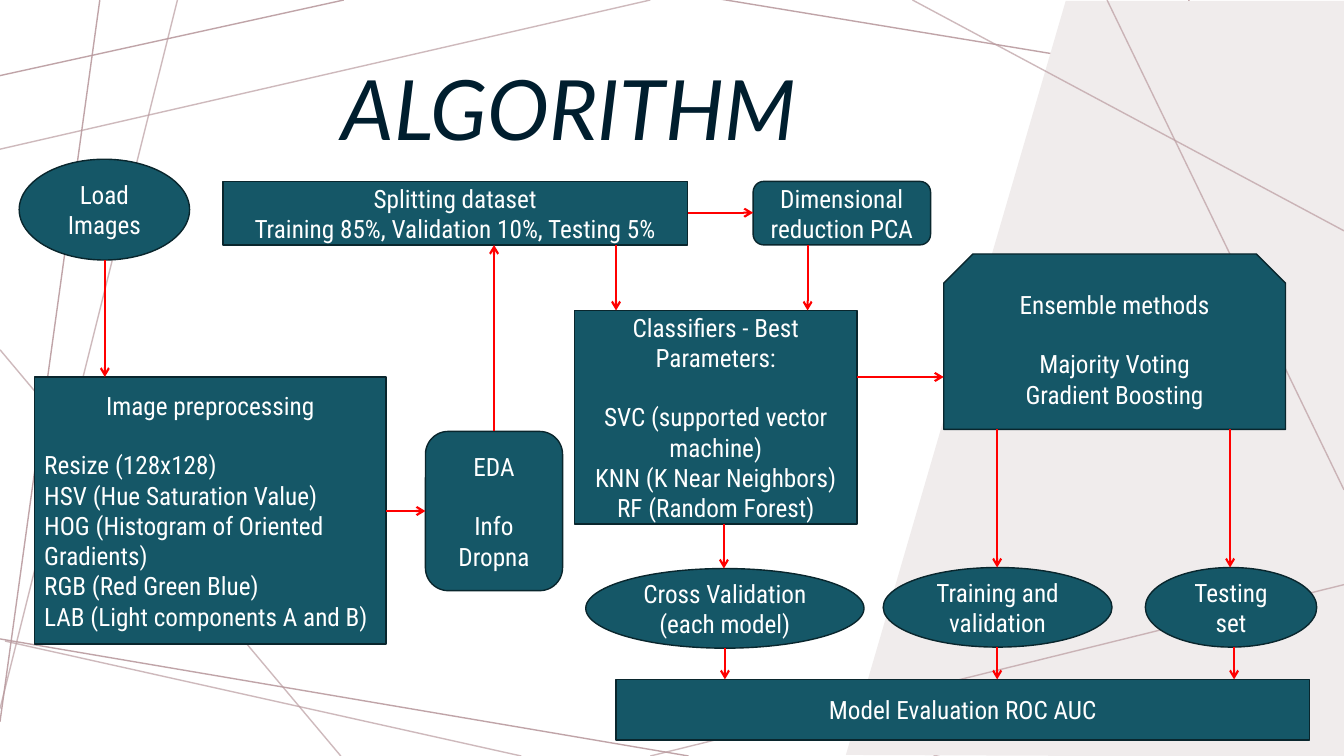
from collections import namedtuple

from lxml.etree import SubElement
from pptx import Presentation
from pptx.dml.color import RGBColor
from pptx.enum.shapes import MSO_CONNECTOR, MSO_SHAPE
from pptx.enum.text import MSO_ANCHOR, PP_ALIGN
from pptx.oxml.ns import qn
from pptx.util import Inches, Pt

Box = namedtuple("Box", "left top width height")
Node = namedtuple("Node", "shape box lines gap body_align", defaults=(0, PP_ALIGN.CENTER))

COLORS = {
    "page": "FFFFFF",
    "panel": "F0ECEC",
    "thread": "BA9CA0",
    "title": "001E2E",
    "node": "155767",
    "outline": "09262D",
    "node_text": "FFFFFF",
    "arrow": "FF0000",
}
LINE_GAP = 21

# Threads behind the panel are denser than those in front of it.
BACK_THREADS = [
    (3.41, 0, 0, 0.75), (0.99, 0, 0, 7.16), (6.83, 7.5, -0.05, 6.33),
    (13.33, 6.4, 9.26, 7.5), (13.33, 1.8, 12.62, 7.5),
    (13.33, 4.66, 11.79, 0), (13.33, 1.01, 7.14, -0.01),
]
FRONT_THREADS = [
    (6.45, 0, 0, 1.48), (1.76, 0, 0, 7.03), (3.38, 7.5, 0, 3.47),
    (13.33, 4.86, 10.98, 0), (13.33, 2.29, 9.05, 0),
    (5.17, 7.5, 0.05, 6.36), (13.33, 5.8, 6.45, 7.5),
]
PANEL = [(10.57, 0.01), (13.33, 0.01), (13.33, 7.51), (8.39, 7.49)]

NODES = {
    "load": Node(MSO_SHAPE.OVAL, Box(0.19, 1.58, 1.69, 1), ["Load Images"]),
    "preprocess": Node(
        MSO_SHAPE.RECTANGLE, Box(0.34, 3.74, 3.49, 2.65),
        ["Image preprocessing", "Resize (128x128)", "HSV (Hue Saturation Value)",
         "HOG (Histogram of Oriented Gradients)", "RGB (Red Green Blue)",
         "LAB (Light components A and B)"],
        LINE_GAP, PP_ALIGN.LEFT),
    "explore": Node(MSO_SHAPE.ROUNDED_RECTANGLE, Box(4.22, 4.28, 1.36, 1.58),
                    ["EDA", "Info", "Dropna"], LINE_GAP),
    "split": Node(MSO_SHAPE.RECTANGLE, Box(2.21, 1.8, 4.61, 0.63),
                  ["Splitting dataset", "Training 85%, Validation 10%, Testing 5%"]),
    "reduce": Node(MSO_SHAPE.ROUNDED_RECTANGLE, Box(7.47, 1.8, 1.76, 0.63),
                   ["Dimensional reduction PCA"]),
    "classify": Node(
        MSO_SHAPE.RECTANGLE, Box(5.7, 3.08, 2.8, 2.12),
        ["Classifiers - Best Parameters:", "SVC (supported vector machine)",
         "KNN (K Near Neighbors)", "RF (Random Forest)"], LINE_GAP),
    "evaluate": Node(MSO_SHAPE.RECTANGLE, Box(6.11, 6.74, 6.88, 0.6),
                     ["Model Evaluation ROC AUC"]),
    "ensemble": Node(MSO_SHAPE.SNIP_2_SAME_RECTANGLE, Box(9.36, 2.52, 3.39, 1.74),
                     ["Ensemble methods", "Majority Voting", "Gradient Boosting"], LINE_GAP),
    "cross": Node(MSO_SHAPE.OVAL, Box(5.81, 5.64, 2.76, 0.79),
                  ["Cross Validation (each model)"]),
    "train": Node(MSO_SHAPE.OVAL, Box(8.76, 5.63, 2.27, 0.79), ["Training and validation"]),
    "test": Node(MSO_SHAPE.OVAL, Box(11.36, 5.63, 1.7, 0.79), ["Testing set"]),
}

# Source, target, direction, and the fixed x (vertical) or y (horizontal).
ARROWS = [
    ("load", "preprocess", "down", 1.04),
    ("preprocess", "explore", "right", 5.07),
    ("explore", "split", "up", 4.9),
    ("split", "reduce", "right", 2.11),
    ("split", "classify", "down", 6.11),
    ("reduce", "classify", "down", 8.01),
    ("classify", "cross", "down", 7.18),
    ("classify", "ensemble", "right", 3.74),
    ("ensemble", "train", "down", 9.89),
    ("ensemble", "test", "down", 12.2),
    ("cross", "evaluate", "down", 7.19),
    ("train", "evaluate", "down", 9.89),
    ("test", "evaluate", "down", 12.24),
]


def rgb(name):
    return RGBColor.from_string(COLORS[name])


def add_text(frame, text, *, size, font, color, first=False, italic=False,
             align=PP_ALIGN.LEFT, space_before=0, line_spacing=1.0):
    para = frame.paragraphs[0] if first else frame.add_paragraph()
    para.alignment = align
    para.space_before = Pt(space_before)
    para.line_spacing = line_spacing
    span = para.add_run()
    span.text = text
    span.font.size = Pt(size)
    span.font.name = font
    span.font.italic = italic
    span.font.color.rgb = rgb(color)


def add_line(slide, box, ends, *, color, width, opacity=100, arrow=False):
    x1, y1, x2, y2 = ends
    line = slide.shapes.add_connector(
        MSO_CONNECTOR.STRAIGHT, Inches(box.left + x1), Inches(box.top + y1),
        Inches(box.left + x2), Inches(box.top + y2))
    line.line.width = Pt(width)
    line.line.color.rgb = rgb(color)
    properties = line.line._get_or_add_ln()
    if opacity < 100:
        SubElement(properties.find(".//" + qn("a:srgbClr")), qn("a:alpha"),
                   val=str(opacity * 1000))
    if arrow:
        SubElement(properties, qn("a:tailEnd"), type="arrow")
    SubElement(line._element.spPr, qn("a:effectLst"))


def draw_backdrop(slide, box):
    for ends in BACK_THREADS:
        add_line(slide, box, ends, color="thread", width=1, opacity=91)
    corners = [(Inches(box.left + x), Inches(box.top + y)) for x, y in PANEL]
    builder = slide.shapes.build_freeform(*corners[0])
    builder.add_line_segments(corners[1:], close=True)
    panel = builder.convert_to_shape()
    panel.shadow.inherit = False
    panel.fill.solid()
    panel.fill.fore_color.rgb = rgb("panel")
    panel.line.fill.background()
    for ends in FRONT_THREADS:
        add_line(slide, box, ends, color="thread", width=1, opacity=70)


def draw_title(slide, box):
    frame = slide.shapes.add_textbox(*map(Inches, box)).text_frame
    frame.word_wrap = True
    add_text(frame, "ALGORITHM", size=59.4, font="Lato", color="title",
             first=True, italic=True, line_spacing=0.9)


def draw_node(slide, box, node):
    """Draw one step; its gap separates the heading from the body lines."""
    left, top, width, height = node.box
    shape = slide.shapes.add_shape(
        node.shape, Inches(box.left + left), Inches(box.top + top),
        Inches(width), Inches(height))
    shape.shadow.inherit = False
    shape.fill.solid()
    shape.fill.fore_color.rgb = rgb("node")
    shape.line.color.rgb = rgb("outline")
    shape.line.width = Pt(1)
    frame = shape.text_frame
    frame.word_wrap = True
    frame.vertical_anchor = MSO_ANCHOR.MIDDLE
    for index, text in enumerate(node.lines):
        add_text(frame, text, size=18, font="Roboto Condensed", color="node_text",
                 first=index == 0,
                 align=node.body_align if index else PP_ALIGN.CENTER,
                 space_before=node.gap if index == 1 else 0)


def arrow_ends(source, target, direction, position):
    """Return the ends of an arrow between the facing edges of two boxes."""
    if direction == "right":
        return source.left + source.width, position, target.left, position
    if direction == "up":
        return position, source.top, position, target.top + target.height
    return position, source.top + source.height, position, target.top


def draw_flowchart(slide, box):
    for node in NODES.values():
        draw_node(slide, box, node)
    for source, target, direction, position in ARROWS:
        ends = arrow_ends(NODES[source].box, NODES[target].box, direction, position)
        add_line(slide, box, ends, color="arrow", width=1.5, arrow=True)


def main():
    deck = Presentation()
    page = Box(0, 0, 13.33, 7.5)
    deck.slide_width, deck.slide_height = Inches(page.width), Inches(page.height)
    slide = deck.slides.add_slide(deck.slide_layouts[6])
    slide.background.fill.solid()
    slide.background.fill.fore_color.rgb = rgb("page")
    draw_backdrop(slide, page)
    draw_title(slide, Box(3.29, 0.63, 7.67, 1.02))
    draw_flowchart(slide, page)
    deck.save("out.pptx")


if __name__ == "__main__":
    main()
